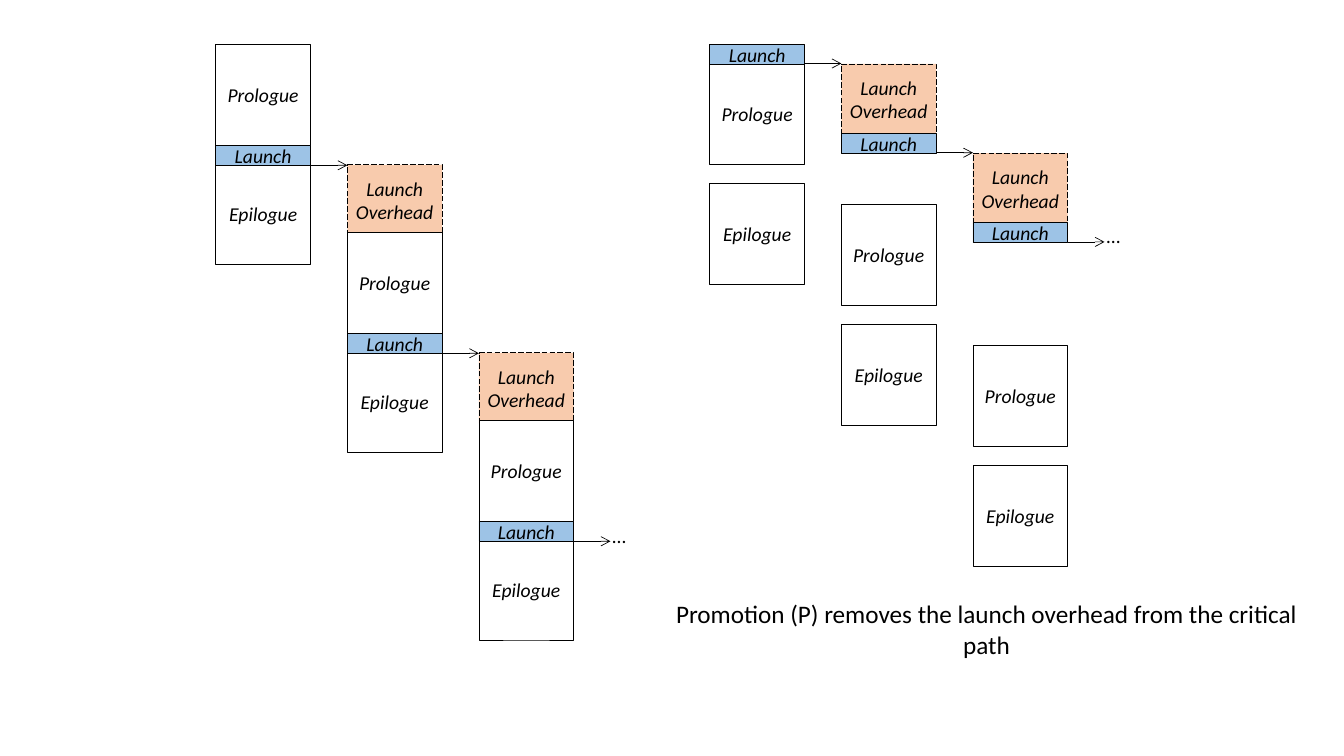
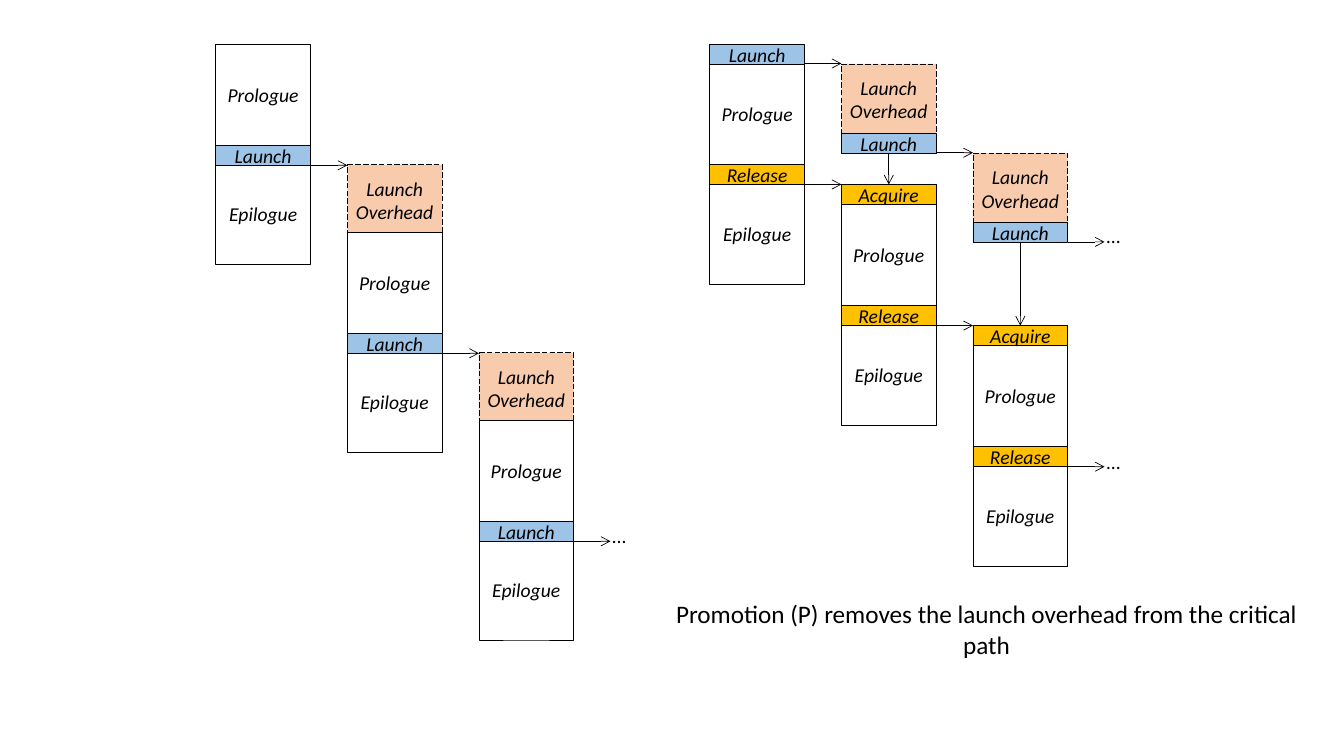
from pptx import Presentation
from pptx.util import Inches, Pt
from pptx.dml.color import RGBColor
from pptx.enum.dml import MSO_LINE
from pptx.enum.shapes import MSO_CONNECTOR, MSO_SHAPE
from pptx.enum.text import MSO_ANCHOR, PP_ALIGN
from pptx.oxml.ns import qn
from lxml import etree

RECT = MSO_SHAPE.RECTANGLE
LINE = MSO_CONNECTOR.STRAIGHT
DASH = MSO_LINE.LONG_DASH
MID = MSO_ANCHOR.MIDDLE
CENTER, LEFT = PP_ALIGN.CENTER, PP_ALIGN.LEFT
color = RGBColor.from_string
BLACK = color("000000")
FONT = "Calibri"

KINDS = {
    "Prologue": (1, "FFFFFF"),
    "Epilogue": (1, "FFFFFF"),
    "Launch": (0.2, "9DC3E6"),
    "Launch Overhead": (0.7, "F8CBAD"),
    "Release": (0.2, "FFC000"),
    "Acquire": (0.2, "FFC000"),
}
COLS = 3
WIDE = 0.94
GAP = 0.365
PITCH = WIDE + GAP
TOP = 0.44
BASE_X, BASE_STEP = 2.14, 1.865
PROMO_X, CALL_STEP, WORK_STEP = 7.04, 0.885, 1.4


def block(slide, x, y, name):
    high, fill = KINDS[name]
    shape = slide.shapes.add_shape(RECT, Inches(x), Inches(y), Inches(WIDE), Inches(high))
    shape.shadow.inherit = False
    shape.fill.solid()
    shape.fill.fore_color.rgb = color(fill)
    shape.line.color.rgb = BLACK
    shape.line.width = Pt(0.5)
    if name == "Launch Overhead":
        shape.line.dash_style = DASH
    frame = shape.text_frame
    frame.margin_left = frame.margin_right = frame.margin_top = frame.margin_bottom = 0
    frame.vertical_anchor = MID
    frame.word_wrap = True
    frame.text = name
    frame.paragraphs[0].alignment = CENTER
    font = frame.paragraphs[0].runs[0].font
    font.name, font.size, font.italic = FONT, Pt(14), True
    font.color.rgb = BLACK


def arrow(slide, x, y, dx, dy):
    link = slide.shapes.add_connector(LINE, Inches(x), Inches(y), Inches(x + dx), Inches(y + dy))
    link.line.color.rgb = BLACK
    link.line.width = Pt(0.5)
    etree.SubElement(link.line._get_or_add_ln(), qn("a:tailEnd"), type="arrow")
    etree.SubElement(link._element.spPr, qn("a:effectLst"))


prs = Presentation()
prs.slide_width, prs.slide_height = Inches(13.33), Inches(7.5)

for synced in (False, True):
    slide = prs.slides.add_slide(prs.slide_layouts[6])

    for col in range(COLS):
        x, y = BASE_X + col * PITCH, TOP + col * BASE_STEP
        if col:
            block(slide, x, y - 0.67, "Launch Overhead")
        arrow(slide, x + WIDE, y + 1.2, GAP, 0)
        block(slide, x, y + 1.18, "Epilogue")
        block(slide, x, y, "Prologue")
        block(slide, x, y + 1, "Launch")

    for col in range(COLS):
        x = PROMO_X + col * PITCH
        call, work = TOP + col * CALL_STEP, TOP + 0.19 + col * WORK_STEP
        if col:
            block(slide, x, call - 0.69, "Launch Overhead")
        block(slide, x, work + 1.19, "Epilogue")
        block(slide, x, work, "Prologue")
        block(slide, x, call, "Launch")
        arrow(slide, x + WIDE, call + 0.19, GAP, 0)
        if synced:
            block(slide, x, work + 1, "Release")
            arrow(slide, x + WIDE, work + 1.2, GAP, 0)
            if col:
                block(slide, x, work - 0.2, "Acquire")
                drop = call + 0.19
                arrow(slide, x + WIDE / 2, drop, 0, work - 0.2 - drop)

    end = COLS * PITCH + 0.02
    notes = [
        (BASE_X + end, 5.2, 0.27, 0.24, "…", 14, 0, LEFT),
        (PROMO_X + end, 2.22, 0.27, 0.24, "…", 14, 0, LEFT),
        (6.35, 5.89, 6.87, 0.4,
         "Promotion (P) removes the launch overhead from the critical path", 18, 0.1, CENTER),
    ]
    if synced:
        notes.append((PROMO_X + end, 4.46, 0.27, 0.24, "…", 14, 0, LEFT))
    for x, y, wide, high, text, size, pad, align in notes:
        box = slide.shapes.add_textbox(Inches(x), Inches(y), Inches(wide), Inches(high))
        frame = box.text_frame
        frame.margin_left = frame.margin_right = Inches(pad)
        frame.margin_top = frame.margin_bottom = Inches(pad / 2)
        frame.word_wrap = True
        frame.text = text
        frame.paragraphs[0].alignment = align
        font = frame.paragraphs[0].runs[0].font
        font.name, font.size = FONT, Pt(size)
        font.color.rgb = BLACK

prs.save("out.pptx")
